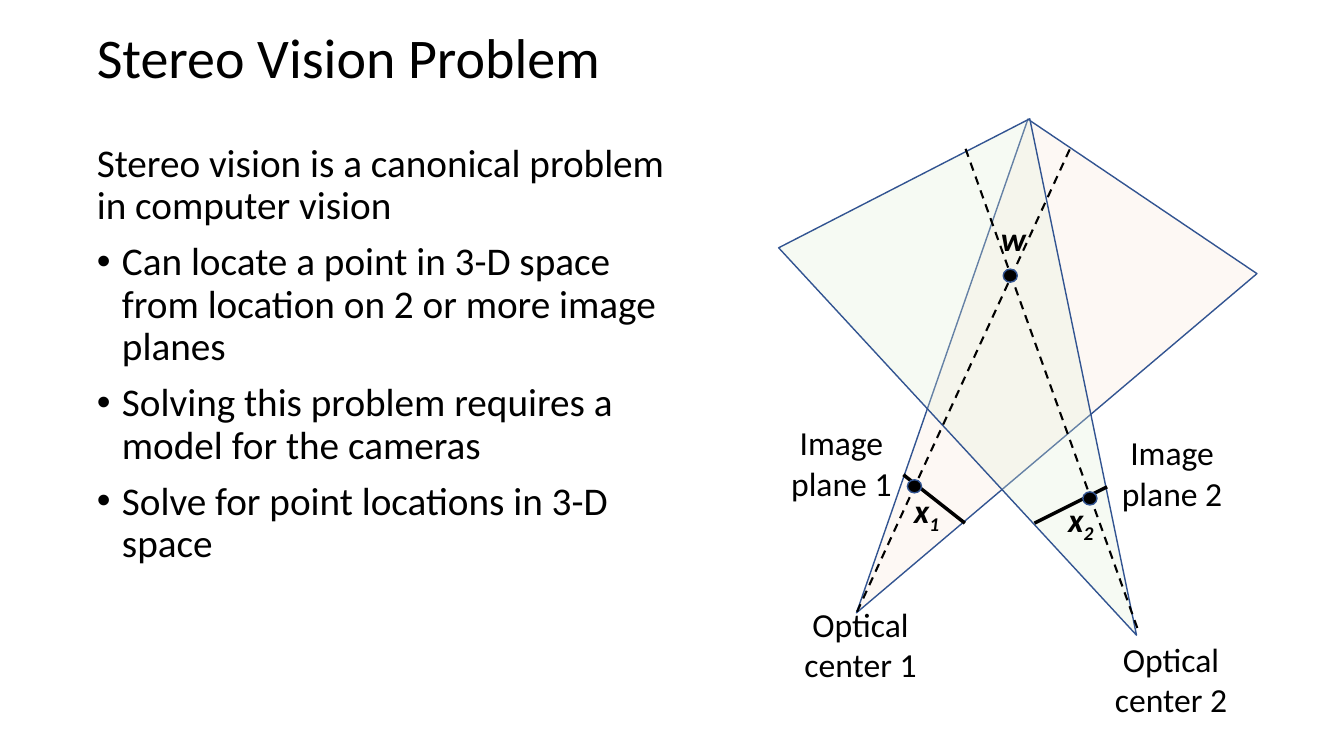
from lxml.etree import SubElement
from pptx import Presentation
from pptx.dml.color import RGBColor
from pptx.enum.dml import MSO_LINE
from pptx.enum.shapes import MSO_CONNECTOR, MSO_SHAPE
from pptx.enum.text import MSO_ANCHOR, MSO_AUTO_SIZE, PP_ALIGN
from pptx.oxml.ns import qn
from pptx.util import Pt

PX = 9144  # EMU per px, 100 px to the inch
FONT = "Calibri"
COLORS = {"ink": "000000", "edge": "325491", "view1": "FBE5D6", "view2": "E2F0D9"}

INTRO = "Stereo vision is a canonical problem in computer vision"
BULLETS = [
    "Can locate a point in 3-D space from location on 2 or more image planes",
    "Solving this problem requires a model for the cameras",
    "Solve for point locations in 3-D space",
]

# Diagram parts, in px from the corner of the diagram box
VIEWS = [  # x, y, width, height, rotation, apex, colour, opacity %
    (116, 12, 274, 501, 214, 0.515, "view1", 25),
    (132, 14, 280, 504, 152.8, 0.5, "view2", 29),
]
IMAGE_PLANES = [(156, 331, 217, 379), (286, 379, 358, 343)]
RAYS = [(110, 467, 322, 6), (388, 483, 216, 3)]
POINTS = [(255, 127), (160, 336), (334, 348)]
POINT_LABELS = [("w", "", 236, 71), ("x", "1", 150, 341), ("x", "2", 303, 350)]
CAPTIONS = [
    ("Image plane 2", 337, 284),
    ("Image plane 1", 9, 274),
    ("Optical center 2", 336, 489),
    ("Optical center 1", 28, 454),
]


def rgb(name):
    return RGBColor.from_string(COLORS[name])


def emu(*lengths):
    return [round(n * PX) for n in lengths]


def place(sp, box):
    sp.left, sp.top, sp.width, sp.height = emu(*box)


def add_run(p, text, size, bold=False, italic=False):
    r = p.add_run()
    r.text = text
    r.font.name, r.font.size = FONT, Pt(size)
    r.font.bold, r.font.italic = bold, italic
    r.font.color.rgb = rgb("ink")
    return r


def set_bullet(p, char=None):
    """Give the paragraph a hanging bullet, or none at all."""
    pPr = p._p.get_or_add_pPr()
    indent = 25 * PX if char else 0
    pPr.set("marL", str(indent))
    pPr.set("indent", str(-indent))
    if char:
        SubElement(pPr, qn("a:buFont"), typeface="Arial")
        SubElement(pPr, qn("a:buChar"), char=char)
    else:
        SubElement(pPr, qn("a:buNone"))


def fill_title(sp, box):
    place(sp, box)
    tf = sp.text_frame
    tf.vertical_anchor = MSO_ANCHOR.MIDDLE
    tf.auto_size = MSO_AUTO_SIZE.NONE
    p = tf.paragraphs[0]
    p.alignment, p.line_spacing = PP_ALIGN.LEFT, 0.9
    add_run(p, "Stereo Vision Problem", 40)


def fill_body(sp, box):
    place(sp, box)
    tf = sp.text_frame
    tf.auto_size = MSO_AUTO_SIZE.NONE
    for i, text in enumerate([INTRO, *BULLETS]):
        p = tf.add_paragraph() if i else tf.paragraphs[0]
        set_bullet(p, "•" if i else None)
        p.line_spacing, p.space_before = 0.9, Pt(10 if i else 0)
        add_run(p, text, 28)


def add_outlined(slide, preset, box, color):
    sp = slide.shapes.add_shape(preset, *emu(*box))
    sp.shadow.inherit = False
    sp.fill.solid()
    sp.fill.fore_color.rgb = rgb(color)
    sp.line.color.rgb = rgb("edge")
    sp.line.width = Pt(1)
    return sp


def add_line(slide, ends, width, dash=None):
    line = slide.shapes.add_connector(MSO_CONNECTOR.STRAIGHT, *emu(*ends))
    line.line.color.rgb = rgb("ink")
    line.line.width = Pt(width)
    if dash:
        line.line.dash_style = dash
    SubElement(line._element.spPr, qn("a:effectLst"))


def add_label(slide, box):
    """Add a centred text box and return its paragraph."""
    tf = slide.shapes.add_textbox(*emu(*box)).text_frame
    tf.word_wrap = True
    tf.auto_size = MSO_AUTO_SIZE.SHAPE_TO_FIT_TEXT
    p = tf.paragraphs[0]
    p.alignment = PP_ALIGN.CENTER
    return p


def draw_diagram(slide, left, top):
    for x, y, w, h, angle, apex, color, opacity in VIEWS:
        sp = add_outlined(slide, MSO_SHAPE.ISOSCELES_TRIANGLE,
                          (left + x, top + y, w, h), color)
        sp.rotation = angle
        sp.adjustments[0] = apex
        srgb = sp._element.spPr.find(qn("a:solidFill")).find(qn("a:srgbClr"))
        SubElement(srgb, qn("a:alpha"), val=str(opacity * 1000))

    for lines, width, dash in ((IMAGE_PLANES, 2.5, None), (RAYS, 1.5, MSO_LINE.DASH)):
        for x1, y1, x2, y2 in lines:
            add_line(slide, (left + x1, top + y1, left + x2, top + y2), width, dash)

    for x, y in POINTS:
        add_outlined(slide, MSO_SHAPE.OVAL, (left + x, top + y, 14, 13), "ink")

    for letter, index, x, y in POINT_LABELS:
        p = add_label(slide, (left + x, top + y, 58, 50))
        add_run(p, letter, 24, bold=True, italic=True)
        if index:
            r = add_run(p, index, 24, bold=True, italic=True)
            r.font._element.set("baseline", "-25000")

    for text, x, y in CAPTIONS:
        add_run(add_label(slide, (left + x, top + y, 171, 91)), text, 24)


def main():
    prs = Presentation()
    prs.slide_width, prs.slide_height = emu(1333, 750)
    slide = prs.slides.add_slide(prs.slide_layouts[1])
    fill_title(slide.shapes.title, (86, 12, 1150, 95))
    fill_body(slide.placeholders[1], (86, 137, 601, 569))
    draw_diagram(slide, 740, 140)
    prs.save("out.pptx")


if __name__ == "__main__":
    main()
